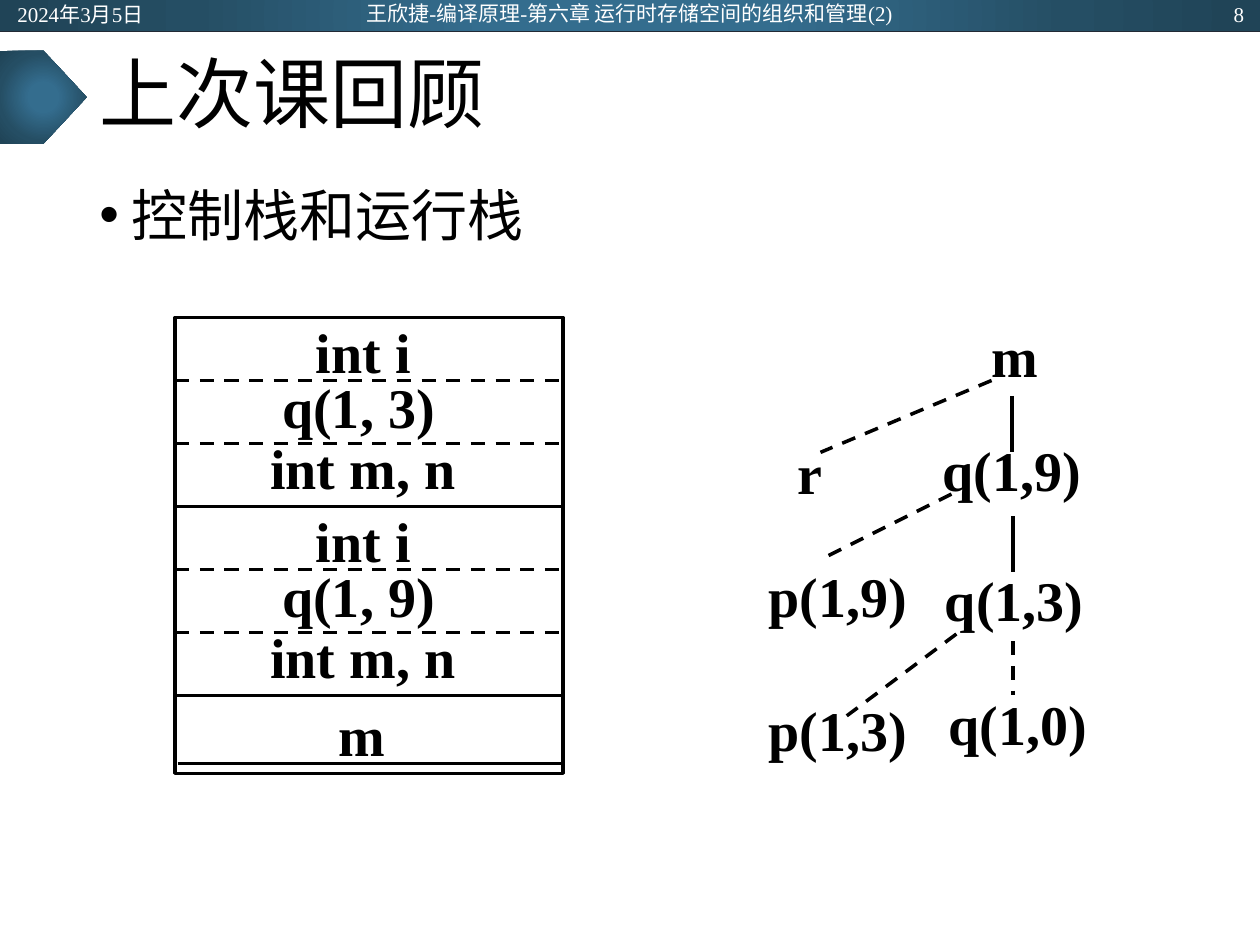
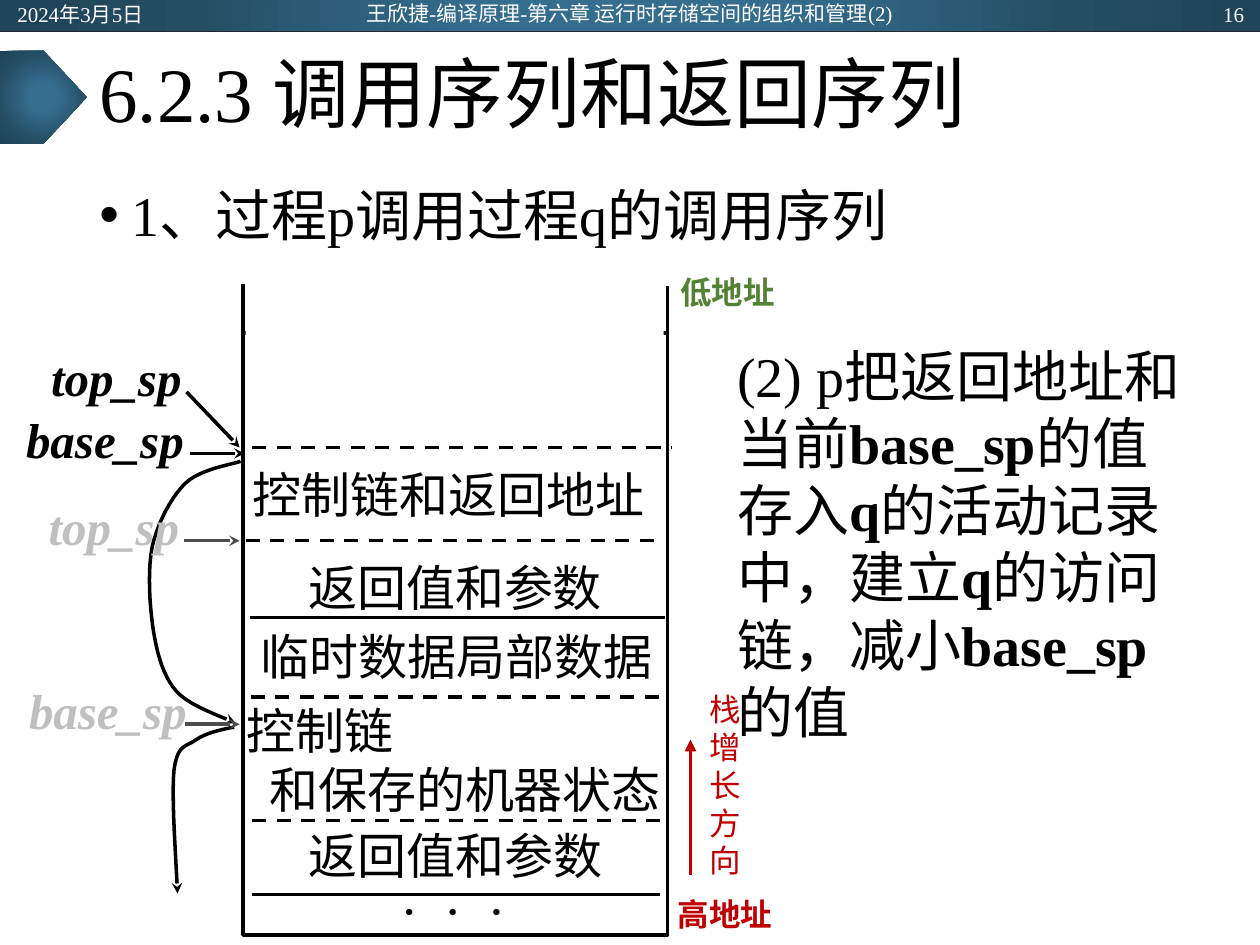
from dataclasses import dataclass

from pptx import Presentation
from pptx.dml.color import RGBColor
from pptx.enum.dml import MSO_LINE
from pptx.enum.shapes import MSO_CONNECTOR, MSO_SHAPE
from pptx.enum.text import MSO_ANCHOR, MSO_AUTO_SIZE, PP_ALIGN
from pptx.oxml import parse_xml
from pptx.oxml.ns import nsdecls, qn
from pptx.util import Cm, Pt

STRAIGHT = MSO_CONNECTOR.STRAIGHT
DASH = MSO_LINE.DASH
RECT, PLATE = MSO_SHAPE.RECTANGLE, MSO_SHAPE.PENTAGON
LEFT, MID, RIGHT = PP_ALIGN.LEFT, PP_ALIGN.CENTER, PP_ALIGN.RIGHT
TOP, CENTRE = MSO_ANCHOR.TOP, MSO_ANCHOR.MIDDLE
FIXED, GROW = MSO_AUTO_SIZE.NONE, MSO_AUTO_SIZE.SHAPE_TO_FIT_TEXT

BLACK = RGBColor(0x00, 0x00, 0x00)
WHITE = RGBColor(0xFF, 0xFF, 0xFF)
NAVY = RGBColor(0x22, 0x2A, 0x35)
PALE = RGBColor(0xBF, 0xBF, 0xBF)
GREY = RGBColor(0x4D, 0x4D, 0x4D)
RED = RGBColor(0xC0, 0x00, 0x00)
GREEN = RGBColor(0x54, 0x82, 0x35)
GLOW = [(0, "346D8E"), (23, "346D8E"), (69, "254E64"), (97, "204457")]

FONT = "Times New Roman"
WIDE, HIGH = 25.4, 19.05
PLAIN = (0.25, 0.13, 0.25, 0.13)
SNUG = (0.15, 0.23, 0.15, 0.13)


@dataclass
class Label:
    text: str
    x: float
    y: float
    w: float
    h: float
    size: float = 32
    color: RGBColor = BLACK
    bold: bool = False
    slant: bool = False
    align: PP_ALIGN = LEFT
    anchor: MSO_ANCHOR = TOP
    inset: tuple = PLAIN
    wrap: bool = True


@dataclass
class Line:
    x1: float
    y1: float
    x2: float
    y2: float
    dash: bool = False
    color: RGBColor = BLACK
    width: float = 2
    head: str = ""


# Drawing helpers
def style(frame, size, color=BLACK, bold=False, slant=False):
    for para in frame.paragraphs:
        for run in para.runs:
            font = run.font
            font.name, font.size = FONT, Pt(size)
            font.bold, font.italic = bold, slant
            font.color.rgb = color


def write(slide, item: Label):
    box = slide.shapes.add_textbox(Cm(item.x), Cm(item.y), Cm(item.w), Cm(item.h))
    frame = box.text_frame
    frame.text = item.text
    frame.word_wrap = item.wrap
    frame.auto_size = FIXED if item.wrap else GROW
    frame.vertical_anchor = item.anchor
    (frame.margin_left, frame.margin_top,
     frame.margin_right, frame.margin_bottom) = map(Cm, item.inset)
    for para in frame.paragraphs:
        para.alignment = item.align
    style(frame, item.size, item.color, item.bold, item.slant)
    return frame


def add_head(shape, kind: str):
    tip = parse_xml(f'<a:tailEnd {nsdecls("a")} type="{kind}"/>')
    shape.element.spPr.find(qn("a:ln")).append(tip)


def draw(slide, item: Line):
    line = slide.shapes.add_connector(
        STRAIGHT, Cm(item.x1), Cm(item.y1), Cm(item.x2), Cm(item.y2))
    line.line.color.rgb = item.color
    line.line.width = Pt(item.width)
    if item.dash:
        line.line.dash_style = DASH
    if item.head:
        add_head(line, item.head)
    line.element.spPr.append(parse_xml(f'<a:effectLst {nsdecls("a")}/>'))


def block(slide, kind, x: float, y: float, w: float, h: float):
    shape = slide.shapes.add_shape(kind, Cm(x), Cm(y), Cm(w), Cm(h))
    shape.shadow.inherit = False
    shape.fill.background()
    shape.line.fill.background()
    return shape


def box(slide, x: float, y: float, w: float, h: float):
    line = block(slide, RECT, x, y, w, h).line
    line.color.rgb = BLACK
    line.width = Pt(2)


def glow(shape):
    stops = "".join(f'<a:gs pos="{pos}000"><a:srgbClr val="{tone}"/></a:gs>'
                    for pos, tone in GLOW)
    fill = parse_xml(
        f'<a:gradFill {nsdecls("a")} rotWithShape="1"><a:gsLst>{stops}</a:gsLst>'
        '<a:path path="circle"><a:fillToRect l="50000" t="50000" r="50000" '
        'b="50000"/></a:path></a:gradFill>')
    props = shape.element.spPr
    props.replace(props.find(qn("a:noFill")), fill)


def curve(slide, start: tuple, bends: list, steps: int = 10):
    """Draw an arrow along Bezier bends, each two controls and an end."""
    spots, here = [], start
    for one, two, end in bends:
        for i in range(1, steps + 1):
            t = i / steps
            s = 1 - t
            spots.append(tuple(
                Cm(s**3 * a + 3 * s * s * t * b + 3 * s * t * t * c + t**3 * d)
                for a, b, c, d in zip(here, one, two, end)))
        here = end
    pen = slide.shapes.build_freeform(Cm(start[0]), Cm(start[1]))
    pen.add_line_segments(spots, close=False)
    shape = pen.convert_to_shape()
    shape.shadow.inherit = False
    shape.fill.background()
    shape.line.color.rgb = BLACK
    shape.line.width = Pt(2)
    add_head(shape, "stealth")


def place(holder, text: str, size: float, x, y, w, h):
    holder.left, holder.top, holder.width, holder.height = map(Cm, (x, y, w, h))
    frame = holder.text_frame
    frame.text = text
    frame.auto_size = FIXED
    style(frame, size)
    para = frame.paragraphs[0]
    para.alignment = LEFT
    return para


# Shared page: band, marker, title, list and header line
def add_page(deck, title: str, point: str, number: str):
    slide = deck.slides.add_slide(deck.slide_layouts[1])
    glow(block(slide, RECT, 0, 0, WIDE, 0.64))
    draw(slide, Line(0, 0.64, WIDE, 0.64, color=NAVY, width=0.5))
    glow(block(slide, PLATE, 0, 1.02, 1.75, 1.88))

    head = place(slide.shapes.title, title, 44, 1.75, 0.64, 21.9, 2.64)
    head.line_spacing = 0.9
    slide.shapes.title.text_frame.vertical_anchor = CENTRE
    item = place(slide.placeholders[1], point, 32, 1.75, 3.51, 21.9, 13.67)
    item.space_before = Pt(10)
    props = item._p.get_or_add_pPr()
    props.set("marL", str(Cm(0.64)))
    props.set("indent", str(-Cm(0.64)))

    for text, x, y, w, h, align in [
            ("2024年3月5日", 0.1, 0.03, 5.72, 0.51, LEFT),
            ("王欣捷-编译原理-第六章 运行时存储空间的组织和管理(2)",
             6.43, -0.08, 12.52, 0.71, MID),
            (number, 19.61, 0.03, 5.72, 0.51, RIGHT)]:
        write(slide, Label(text, x, y, w, h, 12, WHITE, align=align, anchor=CENTRE))
    return slide


# Slide 1: call tree and run stack
def add_review(deck):
    slide = add_page(deck, "上次课回顾", "控制栈和运行栈", "8")

    for text, x, y in [("q(1,9)", 18.75, 8.64), ("p(1,9)", 15.24, 11.2),
                       ("q(1,3)", 18.8, 11.28), ("q(1,0)", 18.87, 13.77),
                       ("p(1,3)", 15.24, 13.89)]:
        write(slide, Label(text, x, y, 3.58, 1.98, bold=True))
    for text, x, y in [("m", 19.74, 6.35), ("r", 15.82, 8.71)]:
        write(slide, Label(text, x, y, 1.83, 1.7, bold=True))
    for edge in [Line(20.4, 7.98, 20.4, 9.12),
                 Line(19.99, 7.67, 16.54, 9.12, True),
                 Line(19.18, 9.96, 16.54, 11.28, True),
                 Line(20.42, 10.41, 20.42, 11.53),
                 Line(20.42, 12.93, 20.42, 14.02, True),
                 Line(19.28, 12.78, 17.07, 14.43, True)]:
        draw(slide, edge)

    left, wide, step = 3.53, 7.82, 1.27
    box(slide, left, 14.02, wide, 1.57)
    write(slide, Label("m", 3.58, 13.89, 7.44, 1.96, bold=True, align=MID,
                       inset=(0.25, 0.23, 0.25, 0.13)))
    draw(slide, Line(3.58, 15.39, 11.35, 15.39))
    for call, top in [("q(1, 9)", 10.21), ("q(1, 3)", 6.4)]:
        box(slide, left, top, wide, 3 * step)
        for row in (1, 2):
            y = top + row * step
            draw(slide, Line(left, y, 11.3, y, True))
        for text, x, drop, w in [("int i", 6.12, -0.13, 2.44),
                                 (call, 5.44, 0.97, 3.58),
                                 ("int m, n", 5.2, 2.21, 4.27)]:
            write(slide, Label(text, x, top + drop, w, 1.63, bold=True, wrap=False))


# Slide 2: call sequence on the stack
def add_calls(deck):
    slide = add_page(deck, "6.2.3 调用序列和返回序列",
                     "1、过程p调用过程q的调用序列", "16")

    # Note with bold names
    note = write(slide, Label("", 14.71, 6.65, 9.37, 10.87, inset=SNUG))
    parts = ["(2) p把返回地址和当前", "base_sp", "的值存入", "q",
             "的活动记录中，建立", "q", "的访问链，减小", "base_sp", "的值"]
    for part in parts:
        note.paragraphs[0].add_run().text = part
    style(note, 32)
    for run in note.paragraphs[0].runs[1::2]:
        run.font.bold = True

    # Open-topped stack and its rows
    box(slide, 4.9, 6.71, 8.56, 12.14)
    lid = block(slide, RECT, 4.95, 5.89, 8.43, 1.55)
    lid.fill.solid()
    lid.fill.fore_color.rgb = WHITE
    draw(slide, Line(13.46, 5.77, 13.46, 6.76))
    draw(slide, Line(4.9, 5.72, 4.9, 6.71))
    for y, x1, x2, dash in [(9.02, 5.08, 13.54, True), (10.9, 4.95, 13.36, True),
                            (12.45, 5.03, 13.41, False), (14.05, 5.05, 13.41, True),
                            (16.54, 5.08, 13.31, True), (18.03, 5.08, 13.31, False)]:
        draw(slide, Line(x1, y, x2, y, dash))

    for text, x, y, w, h, align in [
            ("控制链和返回地址", 4.95, 9.14, 8.92, 2.54, LEFT),
            ("返回值和参数", 4.83, 11, 8.69, 1.55, MID),
            ("临时数据局部数据", 4.95, 12.4, 8.51, 1.55, MID),
            ("返回值和参数", 4.95, 16.41, 8.46, 1.55, MID)]:
        write(slide, Label(text, x, y, w, h, 28, align=align, inset=SNUG))
    state = write(slide, Label("控制链\n和保存的机器状态", 4.83, 13.89, 8.92, 2.54,
                               28, inset=SNUG))
    state.paragraphs[1]._p.get_or_add_pPr().set("marL", str(Cm(0.45)))
    dots = write(slide, Label("⋅ ⋅ ⋅", 5.56, 17.53, 7.14, 1.3, 28,
                              align=MID, inset=SNUG))
    dots.paragraphs[0].runs[0].font._element.set("spc", "420")

    # Pointers, new in black and old in grey
    curve(slide, (4.72, 14.66), [
        ((4.6, 14.68), (4.17, 14.76), (3.96, 14.91)),
        ((3.76, 15.06), (3.58, 14.99), (3.51, 15.52)),
        ((3.45, 16.03), (3.56, 17.48), (3.58, 18.01))])
    curve(slide, (4.85, 9.3), [
        ((4.67, 9.37), (4.04, 9.45), (3.73, 9.75)),
        ((3.45, 10.03), (3.18, 10.54), (3.07, 11.02)),
        ((2.97, 11.53), (3.02, 12.27), (3.1, 12.75)),
        ((3.18, 13.23), (3.3, 13.64), (3.56, 13.94)),
        ((3.84, 14.25), (4.5, 14.45), (4.75, 14.58))])
    for text, x, y, w, color in [("top_sp", 0.81, 6.78, 3.07, BLACK),
                                 ("base_sp", 0.3, 8.03, 3.63, BLACK),
                                 ("base_sp", 0.36, 13.49, 3.63, PALE),
                                 ("top_sp", 0.76, 9.78, 3.07, PALE)]:
        write(slide, Label(text, x, y, w, 1.55, 28, color, True, True, MID, inset=SNUG))
    for x1, y1, x2, y2, color in [(3.76, 7.9, 4.83, 9.02, BLACK),
                                  (3.84, 9.14, 4.93, 9.14, BLACK),
                                  (3.73, 14.6, 4.83, 14.6, GREY),
                                  (3.71, 10.9, 4.83, 10.9, GREY)]:
        draw(slide, Line(x1, y1, x2, y2, color=color, head="stealth"))

    # Address ends and growth
    for text, x, y, color in [("高地址", 13.41, 17.91, RED),
                              ("低地址", 13.46, 5.38, GREEN)]:
        write(slide, Label(text, x, y, 2.44, 1.02, 18, color, True, wrap=False))
    draw(slide, Line(13.92, 17.63, 13.92, 14.91, color=RED, width=2.25,
                     head="triangle"))
    write(slide, Label("\n".join("栈增长方向"), 14.05, 13.89, 1.07, 3.86, 18, RED,
                       align=MID, anchor=CENTRE, wrap=False))


def main():
    deck = Presentation()
    deck.slide_width, deck.slide_height = Cm(WIDE), Cm(HIGH)
    add_review(deck)
    add_calls(deck)
    deck.save("out.pptx")


if __name__ == "__main__":
    main()
